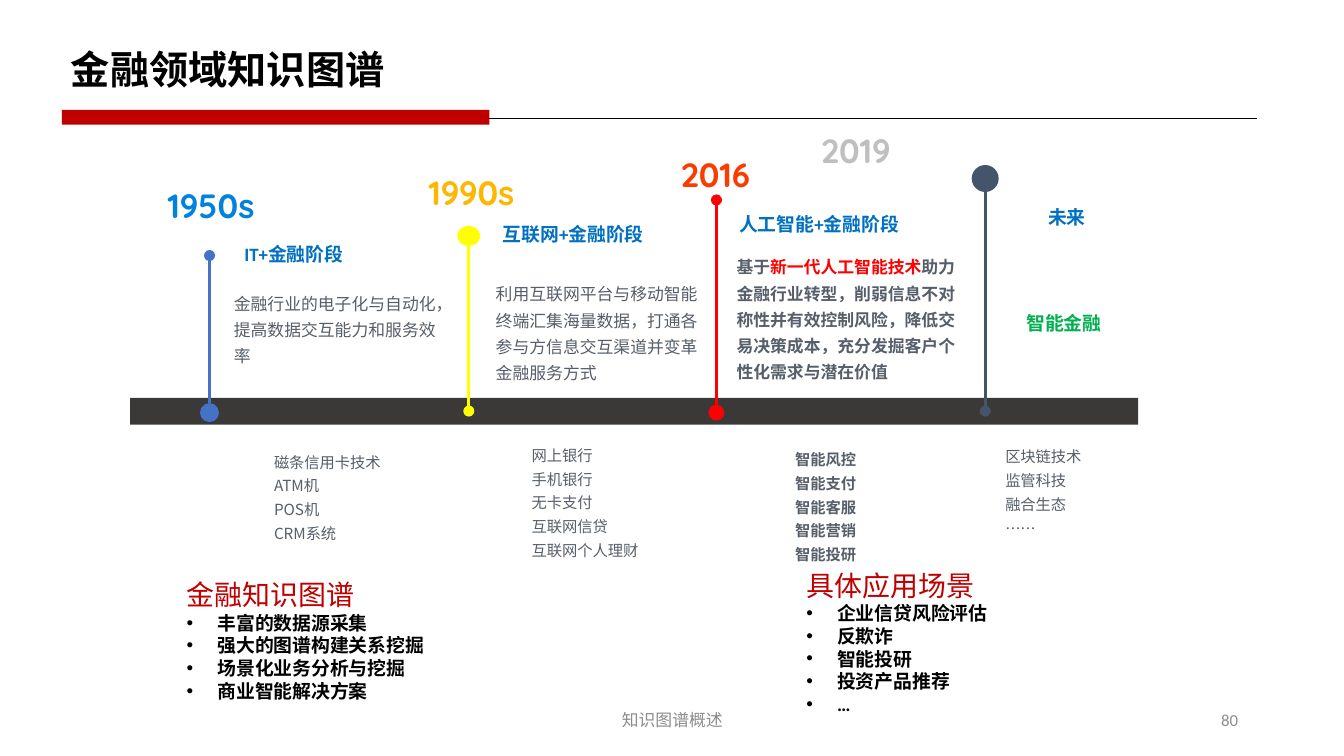
from dataclasses import dataclass, replace
from typing import Optional

from lxml.etree import SubElement
from pptx import Presentation
from pptx.dml.color import RGBColor
from pptx.enum.shapes import MSO_CONNECTOR as Link, MSO_SHAPE as Kind
from pptx.enum.text import MSO_ANCHOR as Anchor, MSO_AUTO_SIZE as Fit, PP_ALIGN as Align
from pptx.oxml.ns import qn
from pptx.util import Cm, Pt

HUES = {
    "black": "000000", "crimson": "C00000", "axis": "3B3838", "grey": "565F69",
    "label": "0070C0", "green": "00B050", "foot": "8C8C8C", "red": "FF0000",
    "blue": "4472C4", "yellow": "FFFF00", "navy": "44546A", "sky": "0082DE",
    "gold": "FEB601", "orange": "FA3C00", "silver": "BFBFBF",
}
LATIN, HAN, ROUND = "Calibri", "Noto Sans CJK SC", "Quicksand"


@dataclass(frozen=True)
class Look:
    """Type settings of a paragraph."""
    size: float
    hue: str
    font: str = LATIN
    bold: bool = False
    lead: Optional[float] = None
    align: Align = Align.LEFT
    bullet: bool = False


@dataclass(frozen=True)
class Part:
    """Run that differs from its paragraph."""
    text: str
    hue: Optional[str] = None
    font: Optional[str] = None


@dataclass(frozen=True)
class Box:
    """Text box in centimetres, with an optional look for its first line."""
    x: float
    y: float
    wide: float
    high: float
    lines: list
    look: Look
    wrap: bool = True
    head: Optional[Look] = None
    fixed: bool = False


@dataclass(frozen=True)
class Mark:
    """Timeline dot with a stem that ends at a height."""
    mid: float
    top: float
    wide: float
    high: float
    end: float
    hue: str


TITLE = Look(21, "black", bold=True)
TOPIC = Look(15, "crimson", HAN)
POINT = Look(10.1, "black", bold=True, bullet=True)
STAGE = Look(10.1, "label", bold=True)
BODY = Look(9, "grey", HAN, lead=1.3)
ITEM = replace(BODY, size=8.2)
YEAR = Look(18, "sky", ROUND, True)
FOOT = Look(9, "foot", align=Align.CENTER)

MARKS = [
    Mark(3.96, 7.62, 0.36, 0.36, 4.83, "blue"),
    Mark(8.86, 4.27, 0.43, 0.38, 7.77, "yellow"),
    Mark(13.54, 7.65, 0.3, 0.3, 3.78, "red"),
    Mark(18.62, 3.12, 0.51, 0.51, 7.77, "navy"),
]

BOXES = [
    Box(1.09, 0.74, 6.5, 1.14, [[Part("金融领域"), Part("知识图谱", font=HAN)]], TITLE, False),
    Box(3.28, 10.8, 5.08, 2.64,
        ["金融知识图谱", "丰富的数据源采集", "强大的图谱构建关系挖掘",
         "场景化业务分析与挖掘", "商业智能解决方案"], POINT, False, TOPIC),
    Box(14.99, 10.62, 3.99, 3.07,
        ["具体应用场景", "企业信贷风险评估", "反欺诈", "智能投研", "投资产品推荐", "…"],
        POINT, False, TOPIC),
    Box(2.92, 3.38, 2.24, 1.02, ["1950s"], YEAR, False),
    Box(7.85, 3.12, 2.24, 1.02, ["1990s"], replace(YEAR, hue="gold"), False),
    Box(12.62, 2.79, 1.96, 1.02, ["2016"], replace(YEAR, hue="orange"), False),
    Box(15.27, 2.34, 1.96, 1.02, ["2019"], replace(YEAR, hue="silver"), False),
    Box(4.37, 4.47, 2.51, 0.69, ["IT+金融阶段"], STAGE, False),
    Box(9.25, 4.09, 3.28, 0.69, ["互联网+金融阶段"], STAGE),
    Box(13.72, 3.89, 3.66, 0.69, ["人工智能+金融阶段"], STAGE),
    Box(19.56, 3.76, 1.24, 0.69, ["未来"], STAGE, False),
    Box(19.13, 5.77, 1.96, 0.69, ["智能金融"],
        replace(STAGE, hue="green", align=Align.CENTER), False),
    Box(4.17, 5.31, 4.52, 1.7,
        ["金融行业的电子化与自动化，", "提高数据交互能力和服务效率"], BODY),
    Box(9.12, 5.13, 4.32, 2.21,
        ["利用互联网平台与移动智能终端汇集海量数据，打通各参与方信息交互渠道并变革金融服务方式"], BODY),
    Box(13.67, 4.62, 4.7, 2.72,
        [[Part("基于"), Part("新一代人工智能技术", "red"),
          Part("助力金融行业转型，削弱信息不对称性并有效控制风险，"
               "降低交易决策成本，充分发掘客户个性化需求与潜在价值")]],
        replace(BODY, bold=True)),
    Box(4.93, 8.33, 4.32, 2.06, ["磁条信用卡技术", "ATM机", "POS机", "CRM系统"], ITEM),
    Box(9.8, 8.2, 4.32, 2.51,
        ["网上银行", "手机银行", "无卡支付", "互联网信贷", "互联网个人理财"], ITEM),
    Box(14.78, 8.28, 4.32, 2.51,
        ["智能风控", "智能支付", "智能客服", "智能营销", "智能投研"], replace(ITEM, bold=True)),
    Box(18.75, 8.23, 2.21, 2.06, ["区块链技术", "监管科技", "融合生态", "……"], ITEM),
    Box(8.41, 13.23, 8.59, 0.76, ["知识图谱概述"], FOOT, fixed=True),
    Box(17.93, 13.23, 5.72, 0.76, ["80"], replace(FOOT, align=Align.RIGHT), fixed=True),
]


def tint(hue: str) -> RGBColor:
    """Return the named colour."""
    return RGBColor.from_string(HUES[hue])


def draw_shape(shapes, kind: Kind, x: float, y: float, wide: float, high: float, hue: str) -> None:
    """Draw a filled shape without outline."""
    shape = shapes.add_shape(kind, Cm(x), Cm(y), Cm(wide), Cm(high))
    shape.shadow.inherit = False
    shape.fill.solid()
    shape.fill.fore_color.rgb = tint(hue)
    shape.line.fill.background()


def draw_line(shapes, x: float, y: float, right: float, low: float,
              hue: str, width: float, oval: bool = False) -> None:
    """Draw a straight line, with an oval end if asked."""
    line = shapes.add_connector(Link.STRAIGHT, Cm(x), Cm(y), Cm(right), Cm(low))
    line.line.color.rgb = tint(hue)
    line.line.width = Pt(width)
    if oval:
        SubElement(line.line._get_or_add_ln(), qn("a:tailEnd"), type="oval")
    SubElement(line._element.spPr, qn("a:effectLst"))


def draw_mark(shapes, mark: Mark) -> None:
    """Draw a dot and its stem as one group."""
    group = shapes.add_group_shape().shapes
    draw_shape(group, Kind.OVAL, mark.mid - mark.wide / 2, mark.top, mark.wide, mark.high, mark.hue)
    start = mark.top if mark.end < mark.top else mark.top + mark.high
    draw_line(group, mark.mid, start, mark.mid, mark.end, mark.hue, 1.5, True)


def set_look(para, look: Look) -> None:
    """Apply type settings to a paragraph."""
    para.alignment = look.align
    if look.lead:
        para.line_spacing = look.lead
    if look.bullet:
        props = para._p.get_or_add_pPr()
        props.set("marL", str(Cm(0.58)))
        props.set("indent", str(-Cm(0.58)))
        SubElement(props, qn("a:buFont"), typeface="Arial")
        SubElement(props, qn("a:buChar"), char="•")
    font = para.font
    font.size, font.bold, font.name = Pt(look.size), look.bold, look.font
    font.color.rgb = tint(look.hue)
    SubElement(font._rPr, qn("a:ea"), typeface=HAN)


def draw_text(shapes, box: Box) -> None:
    """Draw a text box."""
    frame = shapes.add_textbox(Cm(box.x), Cm(box.y), Cm(box.wide), Cm(box.high)).text_frame
    frame.word_wrap = box.wrap
    frame.auto_size = Fit.NONE if box.fixed else Fit.SHAPE_TO_FIT_TEXT
    frame.vertical_anchor = Anchor.MIDDLE if box.fixed else Anchor.TOP
    for rank, line in enumerate(box.lines):
        para = frame.add_paragraph() if rank else frame.paragraphs[0]
        set_look(para, box.head if box.head and not rank else box.look)
        for part in [Part(line)] if isinstance(line, str) else line:
            run = para.add_run()
            run.text = part.text
            if part.hue:
                run.font.color.rgb = tint(part.hue)
            if part.font:
                run.font.name = part.font


def main() -> None:
    """Build the slide and save it."""
    deck = Presentation()
    deck.slide_width, deck.slide_height = Cm(25.4), Cm(14.29)
    shapes = deck.slides.add_slide(deck.slide_layouts[6]).shapes
    draw_line(shapes, 1.17, 2.24, 23.75, 2.24, "black", 0.5)
    draw_shape(shapes, Kind.RECTANGLE, 1.17, 2.08, 8.08, 0.28, "crimson")
    draw_shape(shapes, Kind.RECTANGLE, 2.46, 7.52, 19.05, 0.51, "axis")
    for mark in MARKS:
        draw_mark(shapes, mark)
    for box in BOXES:
        draw_text(shapes, box)
    deck.save("out.pptx")


if __name__ == "__main__":
    main()
